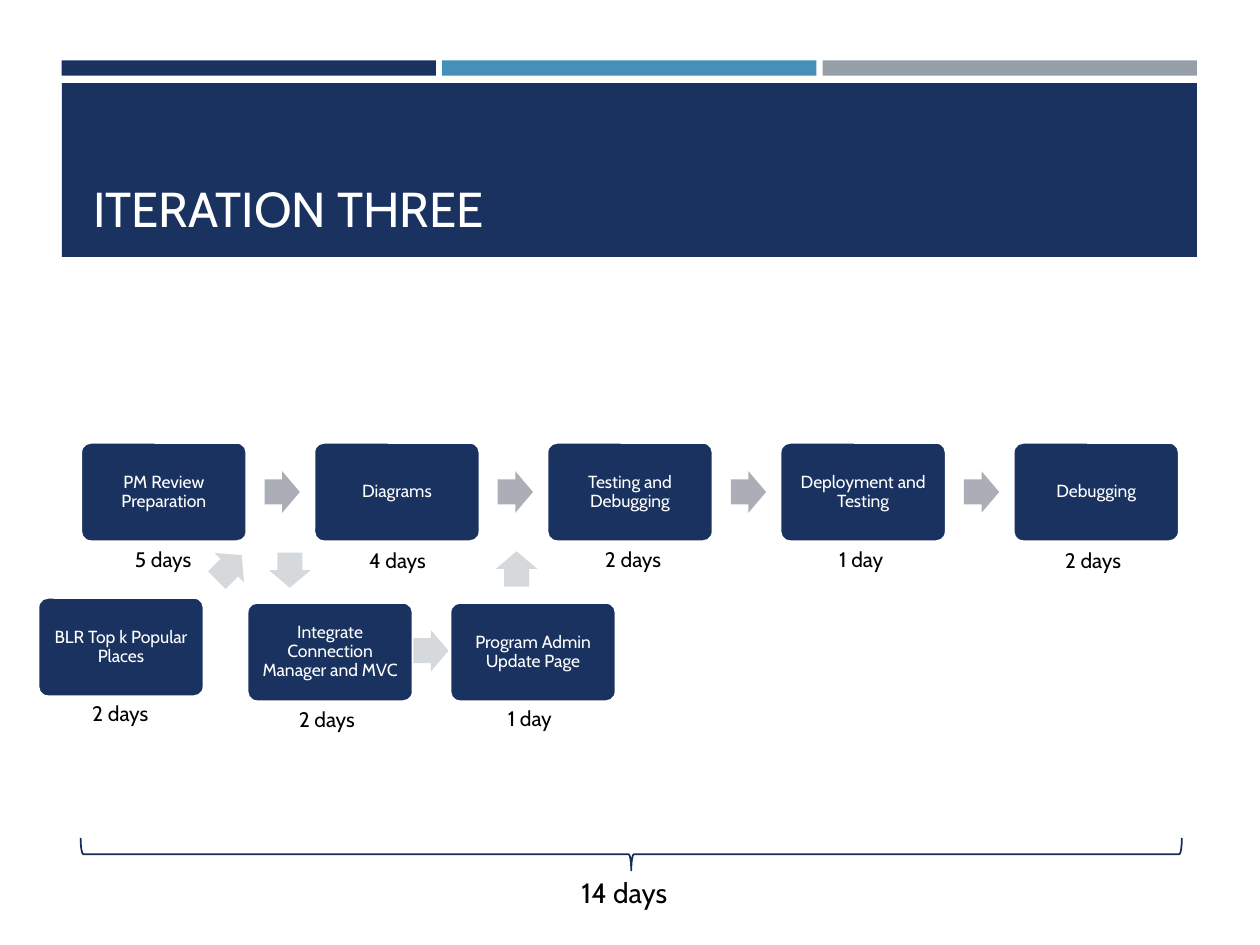
from dataclasses import dataclass

from pptx import Presentation
from pptx import util as u
from pptx.dml.color import RGBColor
from pptx.enum import shapes, text

PX = 9144  # EMU per px, 100 px to the inch
FONT = "Cabin"
NAVY = RGBColor(0x1A, 0x32, 0x60)
BLUE = RGBColor(0x45, 0x90, 0xB8)
GRAY = RGBColor(0x96, 0x9F, 0xA7)
ARROW = RGBColor(0xAC, 0xAE, 0xB7)
PALE_ARROW = RGBColor(0xD5, 0xD9, 0xDC)
BRACE = RGBColor(0x17, 0x2D, 0x56)
WHITE = RGBColor(0xFF, 0xFF, 0xFF)
BLACK = RGBColor(0x00, 0x00, 0x00)
KIND = shapes.MSO_SHAPE
ALIGN = text.PP_ALIGN
ANCHOR = text.MSO_ANCHOR

MAIN_X, MAIN_Y, STEP = 64, 351, 185
ARROW_W, ARROW_H = 28, 33


@dataclass
class Task:
    name: str
    x: int
    y: int
    days: str
    days_x: int
    days_y: int


@dataclass
class Arrow:
    x: int
    y: int
    color: RGBColor
    rotation: int = 0


MAIN_TASKS = [
    Task(name, MAIN_X + i * STEP, MAIN_Y, days, days_x, days_y)
    for i, (name, days, days_x, days_y) in enumerate([
        ("PM Review Preparation", "5 days", 76, 429),
        ("Diagrams", "4 days", 262, 430),
        ("Testing and Debugging", "2 days", 449, 429),
        ("Deployment and Testing", "1 day", 630, 429),
        ("Debugging", "2 days", 814, 430),
    ])
]
SIDE_TASKS = [
    Task("BLR Top k Popular Places", 30, 474, "2 days", 42, 551),
    Task("Integrate Connection Manager and MVC", 196, 478, "2 days", 206, 556),
    Task("Program Admin Update Page", 357, 478, "1 day", 367, 555),
]
ARROWS = [Arrow(task.x + 146, 374, ARROW) for task in MAIN_TASKS[:-1]] + [
    Arrow(168, 434, PALE_ARROW, 315),
    Arrow(216, 436, PALE_ARROW, 90),
    Arrow(328, 500, PALE_ARROW),
    Arrow(396, 435, PALE_ARROW, 270),
]


def add_shape(slide, kind, x: int, y: int, w: int, h: int, fill=None):
    sp = slide.shapes.add_shape(kind, x * PX, y * PX, w * PX, h * PX)
    sp.shadow.inherit = False
    sp.line.fill.background()
    if fill is None:
        sp.fill.background()
    else:
        sp.fill.solid()
        sp.fill.fore_color.rgb = fill
    return sp


def write(sp, words: str, size: int, color: RGBColor, align, anchor) -> None:
    tf = sp.text_frame
    tf.word_wrap = True
    tf.vertical_anchor = anchor
    tf.text = words
    p = tf.paragraphs[0]
    p.alignment = align
    font = p.runs[0].font
    font.name, font.size = FONT, u.Pt(size)
    font.color.rgb = color


def add_label(slide, words: str, x: int, y: int, w: int, h: int, size: int,
              color=BLACK, align=ALIGN.CENTER, anchor=ANCHOR.TOP) -> None:
    sp = slide.shapes.add_textbox(x * PX, y * PX, w * PX, h * PX)
    write(sp, words, size, color, align, anchor)


def add_task(slide, task: Task) -> None:
    sp = add_shape(slide, KIND.ROUNDED_RECTANGLE, task.x, task.y, 132, 79, NAVY)
    sp.adjustments[0] = 0.1
    sp.line.color.rgb = WHITE
    sp.line.width = u.Pt(1.75)
    write(sp, task.name, 10, WHITE, ALIGN.CENTER, ANCHOR.MIDDLE)
    tf = sp.text_frame
    tf.margin_left = tf.margin_right = tf.margin_top = tf.margin_bottom = 4 * PX
    tf.paragraphs[0].line_spacing = 0.9
    add_label(slide, task.days, task.days_x, task.days_y, 107, 30, 12)


def add_arrow(slide, arrow: Arrow) -> None:
    sp = add_shape(slide, KIND.RIGHT_ARROW, arrow.x, arrow.y, ARROW_W, ARROW_H, arrow.color)
    sp.adjustments[0], sp.adjustments[1] = 0.6, 0.5
    sp.rotation = arrow.rotation


def main() -> None:
    prs = Presentation()
    prs.slide_width, prs.slide_height = 1000 * PX, 750 * PX
    slide = prs.slides.add_slide(prs.slide_layouts[6])

    # Header bars and title
    for i, color in enumerate((NAVY, BLUE, GRAY)):
        add_shape(slide, KIND.RECTANGLE, 49 + i * 302, 48, 297, 12, color)
    add_shape(slide, KIND.RECTANGLE, 49, 66, 901, 138, NAVY)
    add_label(slide, "ITERATION THREE", 64, 75, 874, 118, 28,
              WHITE, ALIGN.LEFT, ANCHOR.BOTTOM)

    # Task flow
    for task in MAIN_TASKS + SIDE_TASKS:
        add_task(slide, task)
    for arrow in ARROWS:
        add_arrow(slide, arrow)

    # Total duration
    brace = add_shape(slide, KIND.RIGHT_BRACE, 488, 241, 26, 874)
    brace.rotation = 90
    brace.line.color.rgb = BRACE
    brace.line.width = u.Pt(1)
    add_label(slide, "14 days", 442, 690, 107, 37, 16)

    prs.save("out.pptx")


if __name__ == "__main__":
    main()
